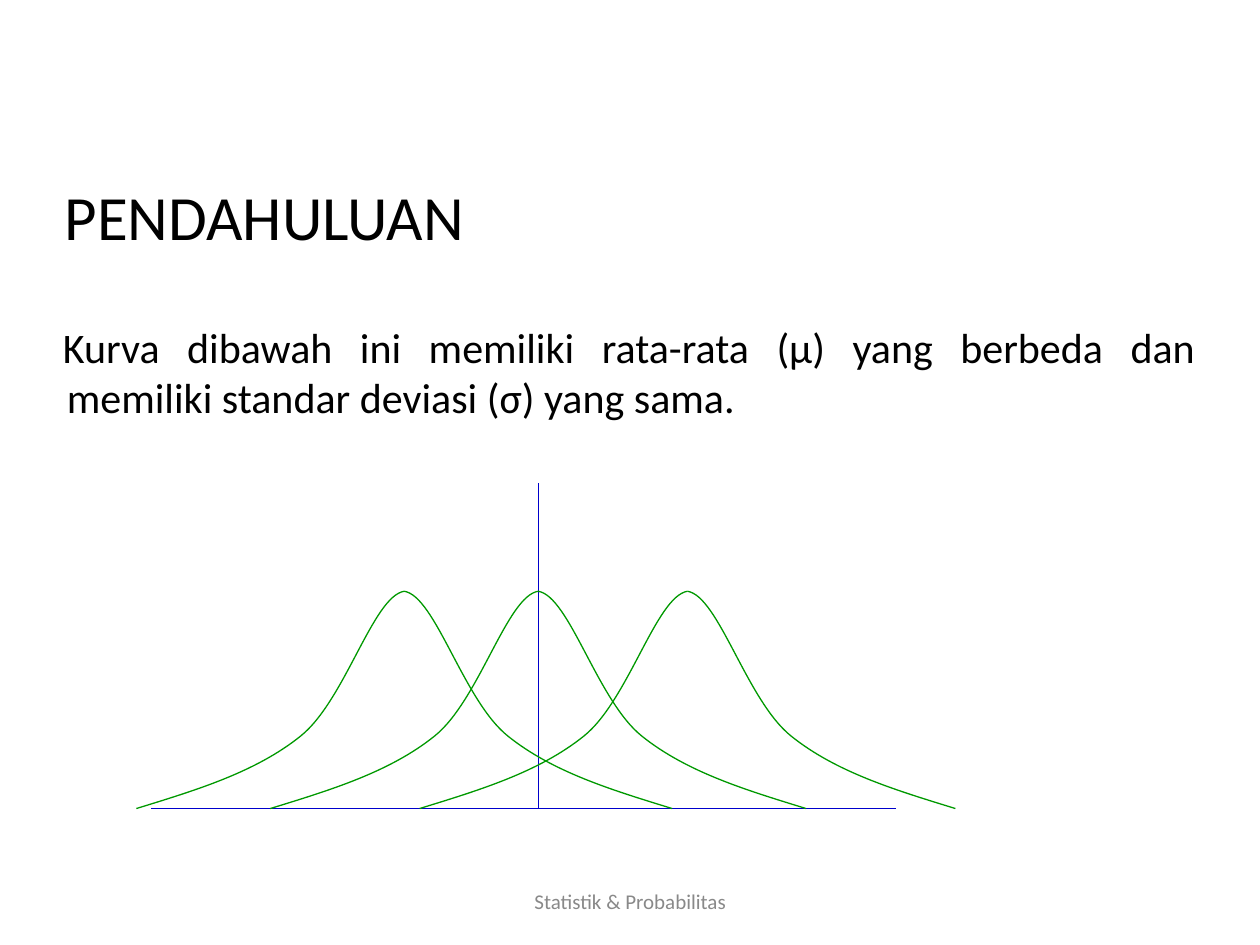
from lxml import etree
from pptx import Presentation
from pptx.dml.color import RGBColor
from pptx.enum.shapes import MSO_CONNECTOR
from pptx.enum.text import MSO_ANCHOR, PP_ALIGN
from pptx.oxml.ns import qn
from pptx.util import Cm, Pt

STRAIGHT = MSO_CONNECTOR.STRAIGHT
MIDDLE, TOP = MSO_ANCHOR.MIDDLE, MSO_ANCHOR.TOP
LEFT, CENTER, JUSTIFY = PP_ALIGN.LEFT, PP_ALIGN.CENTER, PP_ALIGN.JUSTIFY
TITLE_ONLY = 5
COLORS = {"text": "000000", "axis": "0000CC", "curve": "009900", "footer": "898989"}


def write(box, text, size, color, align, anchor):
    frame = box.text_frame
    frame.word_wrap = True
    frame.vertical_anchor = anchor
    frame.text = text
    paragraph = frame.paragraphs[0]
    paragraph.alignment = align
    paragraph.font.name = "Calibri"
    paragraph.font.size = Pt(size)
    paragraph.font.color.rgb = RGBColor.from_string(COLORS[color])
    return paragraph


def round_segments(freeform):
    """Turn each three straight segments into one cubic Bézier segment."""
    segments = list(freeform._element.iter(qn("a:lnTo")))
    for first in range(0, len(segments), 3):
        cubic = etree.Element(qn("a:cubicBezTo"))
        segments[first].addprevious(cubic)
        for segment in segments[first:first + 3]:
            cubic.append(segment[0])
            segment.getparent().remove(segment)


prs = Presentation()
prs.slide_width, prs.slide_height = Cm(25.4), Cm(19.05)
slide = prs.slides.add_slide(prs.slide_layouts[TITLE_ONLY])
shapes = slide.shapes

title = shapes.title
title.left, title.top, title.width, title.height = Cm(1.05), Cm(2.75), Cm(22.86), Cm(3.18)
write(title, "PENDAHULUAN", 36, "text", LEFT, MIDDLE)

explanation = shapes.add_textbox(Cm(0.85), Cm(6.35), Cm(23.5), Cm(2.34))
sentence = write(
    explanation,
    "Kurva dibawah ini memiliki rata-rata (μ) yang berbeda dan "
    "memiliki standar deviasi (σ) yang sama.",
    24, "text", JUSTIFY, TOP)
sentence.space_before = Pt(6)
indents = sentence._p.get_or_add_pPr()
indents.set("marL", str(Cm(0.25)))
indents.set("indent", str(Cm(-0.08)))

# Axes
diagram = shapes.add_group_shape().shapes
BASE_Y, PEAK_Y, CENTER_X = 16.3, 11.92, 10.85
for x1, y1, x2, y2 in ((3.05, BASE_Y, 18.06, BASE_Y), (CENTER_X, BASE_Y, CENTER_X, 9.73)):
    axis_line = diagram.add_connector(STRAIGHT, Cm(x1), Cm(y1), Cm(x2), Cm(y2))
    axis_line.line.color.rgb = RGBColor.from_string(COLORS["axis"])
    axis_line.line.width = Pt(0.75)
    etree.SubElement(axis_line._element.spPr, qn("a:effectLst"))

# Half a bell, from foot over shoulder to peak, as distances from the peak in cm
HALF_BELL = ((5.4, 4.38), (4.2, 4.01), (3, 3.65), (2.09, 2.92),
             (1.19, 2.2), (0.63, 0.1), (0, 0))

for mean_x in (CENTER_X, 8.15, 13.86):
    for side in (-1, 1):
        foot, *others = [(Cm(mean_x + side * dx), Cm(PEAK_Y + dy)) for dx, dy in HALF_BELL]
        builder = diagram.build_freeform(*foot)
        builder.add_line_segments(others, close=False)
        curve = builder.convert_to_shape()
        round_segments(curve)
        curve.shadow.inherit = False
        curve.fill.background()
        curve.line.color.rgb = RGBColor.from_string(COLORS["curve"])
        curve.line.width = Pt(0.75)

footer = shapes.add_textbox(Cm(8.68), Cm(17.65), Cm(8.05), Cm(1.02))
write(footer, "Statistik & Probabilitas", 12, "footer", CENTER, MIDDLE)

prs.save("out.pptx")
